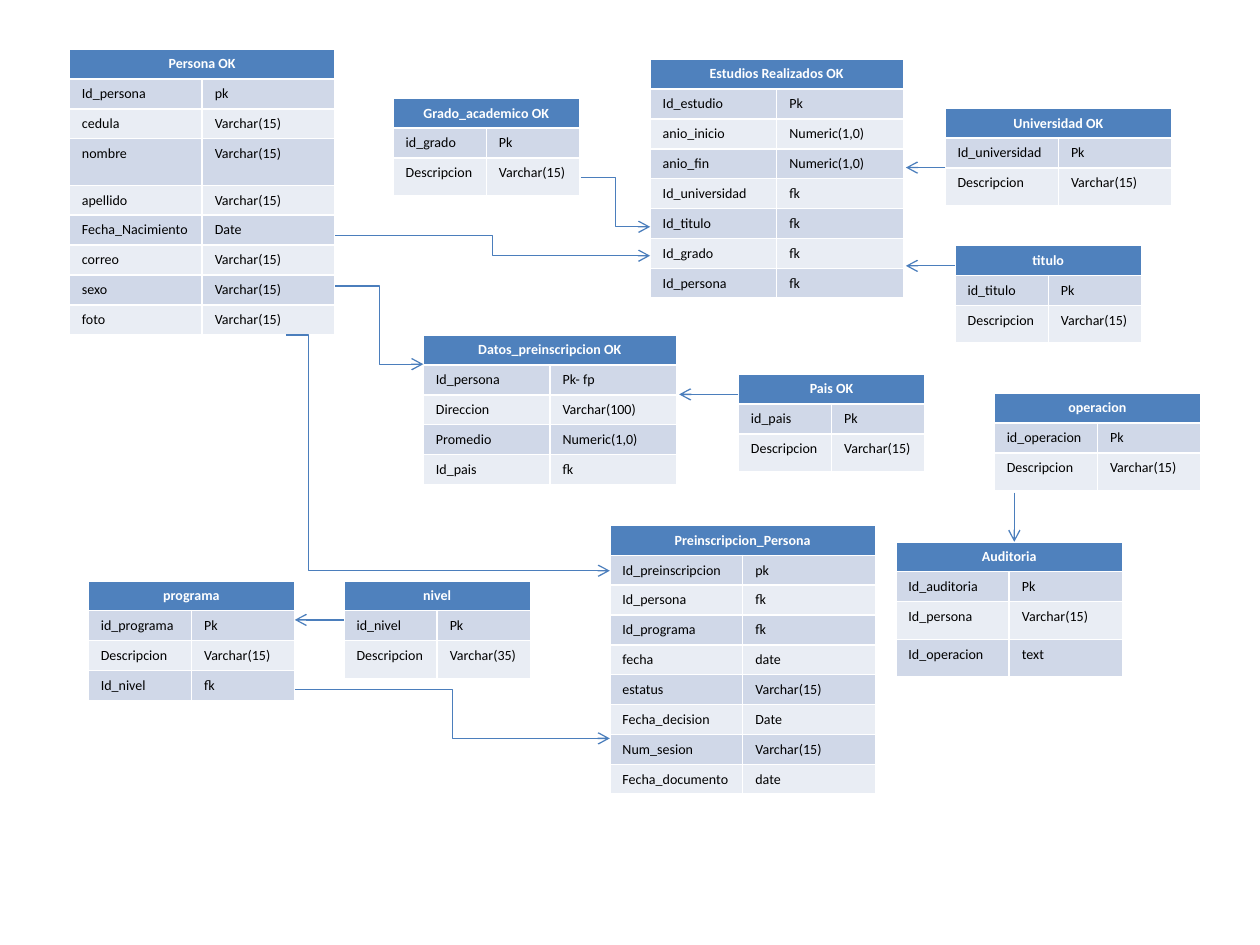
from dataclasses import dataclass

from lxml import etree
from pptx import Presentation
from pptx.dml import color as c
from pptx.enum import shapes, text
from pptx.oxml import ns
from pptx.util import Inches, Pt


@dataclass(frozen=True)
class Theme:
    """Colours, type and row sizes shared by the whole diagram."""
    header: str = "4F81BD"
    bands: tuple = ("D0D8E8", "E9EDF4")
    title: str = "FFFFFF"
    body: str = "000000"
    line: str = "4B7EBC"
    font: str = "Calibri"
    size: float = 8
    line_width: float = 0.75
    row: float = 0.23
    tall_row: float = 0.3


THEME = Theme()
TEXT_15 = "Varchar(15)"


def lookup(key, kind=TEXT_15):
    """Return the fields of a catalogue entity: its key and a description."""
    return [(key, "Pk"), ("Descripcion", kind, THEME.tall_row)]


ENTITIES = [
    ("Persona OK", 0.55, 0.39, 2.11, [
        ("Id_persona", "pk"), ("cedula", TEXT_15), ("nombre", TEXT_15, 0.37),
        ("apellido", TEXT_15), ("Fecha_Nacimiento", "Date"),
        ("correo", TEXT_15), ("sexo", TEXT_15), ("foto", TEXT_15)]),
    ("Grado_academico OK", 3.12, 0.78, 1.48, lookup("id_grado")),
    ("Estudios Realizados OK", 5.16, 0.47, 2.01, [
        ("Id_estudio", "Pk"), ("anio_inicio", "Numeric(1,0)"),
        ("anio_fin", "Numeric(1,0)"), ("Id_universidad", "fk"),
        ("Id_titulo", "fk"), ("Id_grado", "fk"), ("Id_persona", "fk")]),
    ("Universidad OK", 7.5, 0.86, 1.8, lookup("Id_universidad")),
    ("Datos_preinscripcion OK", 3.36, 2.66, 2.01, [
        ("Id_persona", "Pk- fp"), ("Direccion", "Varchar(100)"),
        ("Promedio", "Numeric(1,0)"), ("Id_pais", "fk")]),
    ("Pais OK", 5.86, 2.97, 1.48, lookup("id_pais")),
    ("programa", 0.7, 4.61, 1.64, [
        ("id_programa", "Pk"), ("Descripcion", TEXT_15), ("Id_nivel", "fk")]),
    ("nivel", 2.73, 4.61, 1.48, lookup("id_nivel", "Varchar(35)")),
    ("Preinscripcion_Persona", 4.84, 4.17, 2.11, [
        ("Id_preinscripcion", "pk"), ("Id_persona", "fk"),
        ("Id_programa", "fk"), ("fecha", "date"), ("estatus", TEXT_15),
        ("Fecha_decision", "Date"), ("Num_sesion", TEXT_15),
        ("Fecha_documento", "date")]),
    ("Auditoria", 7.11, 4.3, 1.8, [
        ("Id_auditoria", "Pk"), ("Id_persona", TEXT_15, THEME.tall_row),
        ("Id_operacion", "text", THEME.tall_row)]),
    ("operacion", 7.89, 3.12, 1.64, lookup("id_operacion")),
    ("titulo", 7.58, 1.95, 1.48, lookup("id_titulo")),
]

RELATIONS = [
    ((2.66, 2.27), (3.36, 2.89)),
    ((4.61, 1.41), (5.16, 1.8)),
    ((7.5, 1.33), (7.19, 1.33)),
    ((5.86, 3.13), (5.39, 3.13)),
    ((8.05, 3.91), (8.05, 4.3)),
    ((2.73, 4.92), (2.34, 4.92)),
    ((2.27, 2.66), (4.84, 4.53), 0.07),
    ((2.34, 5.47), (4.84, 5.86)),
    ((7.58, 2.11), (7.19, 2.11)),
    ((2.66, 1.87), (5.16, 2.03)),
]


def write_cell(cell, words, fill, colour, bold=False):
    """Fill one table cell and format its text."""
    cell.fill.solid()
    cell.fill.fore_color.rgb = c.RGBColor.from_string(fill)
    p = cell.text_frame.paragraphs[0]
    p.text = words
    font = p.runs[0].font
    font.name, font.size, font.bold = THEME.font, Pt(THEME.size), bold
    font.color.rgb = c.RGBColor.from_string(colour)
    return p


def add_entity(slide, title, left, top, width, fields):
    """Draw an entity as a table with a merged header and one row per field."""
    heights = [THEME.row] + [f[2] if len(f) > 2 else THEME.row for f in fields]
    frame = slide.shapes.add_table(len(heights), 2, Inches(left), Inches(top),
                                   Inches(width), Inches(sum(heights)))
    table = frame.table
    for row, height in zip(table.rows, heights):
        row.height = Inches(height)
    header = table.cell(0, 0)
    header.merge(table.cell(0, 1))
    p = write_cell(header, title, THEME.header, THEME.title, bold=True)
    p.alignment = text.PP_ALIGN.CENTER
    for i, field in enumerate(fields):
        for j, words in enumerate(field[:2]):
            write_cell(table.cell(i + 1, j), words, THEME.bands[i % 2], THEME.body)


def add_relation(slide, start, end, bend=None):
    """Draw an arrow between two points, with an elbow unless they align."""
    aligned = start[0] == end[0] or start[1] == end[1]
    kind = shapes.MSO_CONNECTOR.STRAIGHT if aligned else shapes.MSO_CONNECTOR.ELBOW
    sp = slide.shapes.add_connector(kind, *map(Inches, start + end))
    sp.line.color.rgb = c.RGBColor.from_string(THEME.line)
    sp.line.width = Pt(THEME.line_width)
    props = sp._element.spPr
    etree.SubElement(props.find(ns.qn("a:ln")), ns.qn("a:tailEnd"), type="arrow")
    etree.SubElement(props, ns.qn("a:effectLst"))
    if bend is not None:
        guides = props.find(ns.qn("a:prstGeom")).find(ns.qn("a:avLst"))
        etree.SubElement(guides, ns.qn("a:gd"), name="adj1",
                         fmla=f"val {round(bend * 100000)}")


def main():
    """Build the entity diagram and save it."""
    prs = Presentation()
    prs.slide_width, prs.slide_height = Inches(10), Inches(7.5)
    slide = prs.slides.add_slide(prs.slide_layouts[6])
    for entity in ENTITIES:
        add_entity(slide, *entity)
    for relation in RELATIONS:
        add_relation(slide, *relation)
    prs.save("out.pptx")


if __name__ == "__main__":
    main()
